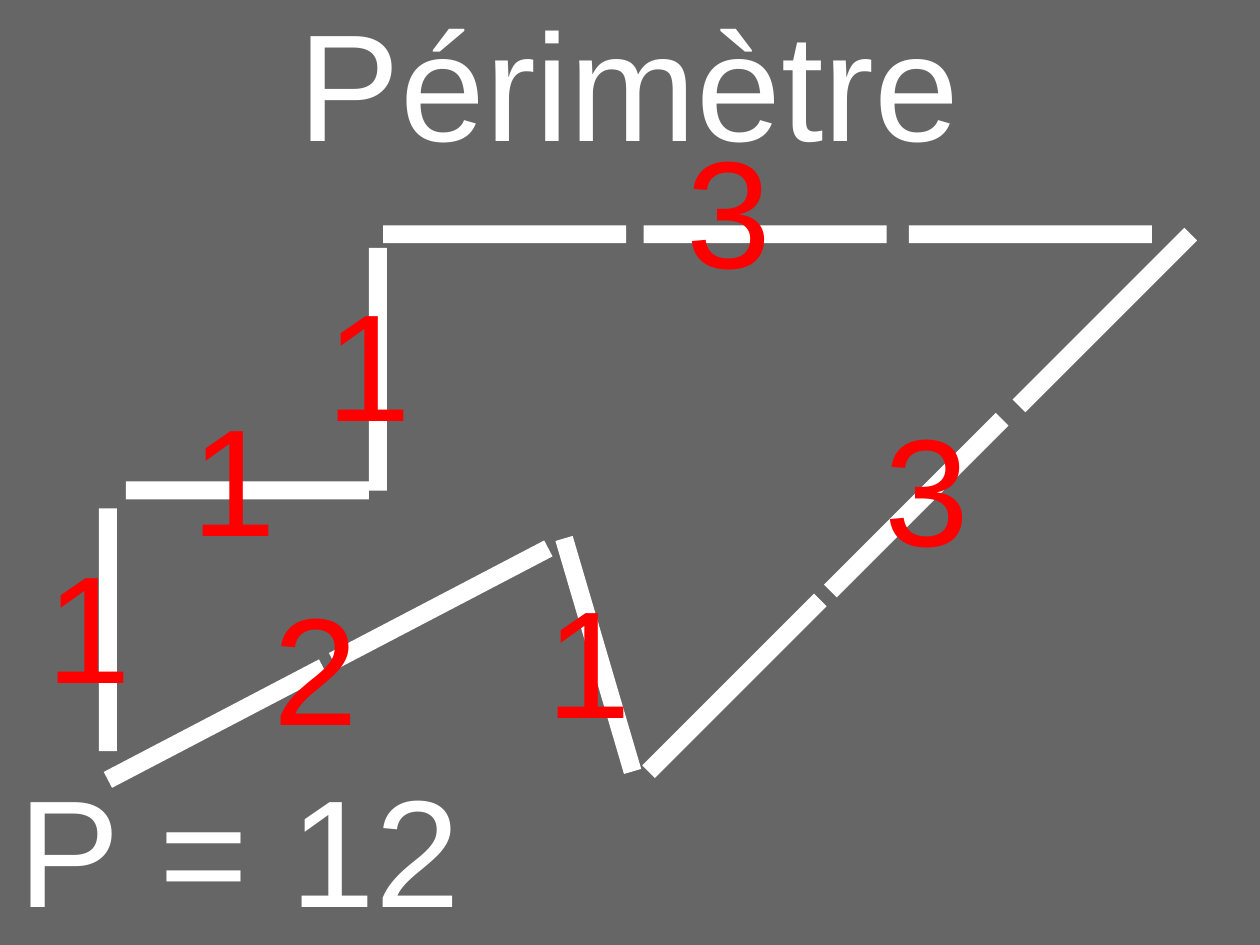
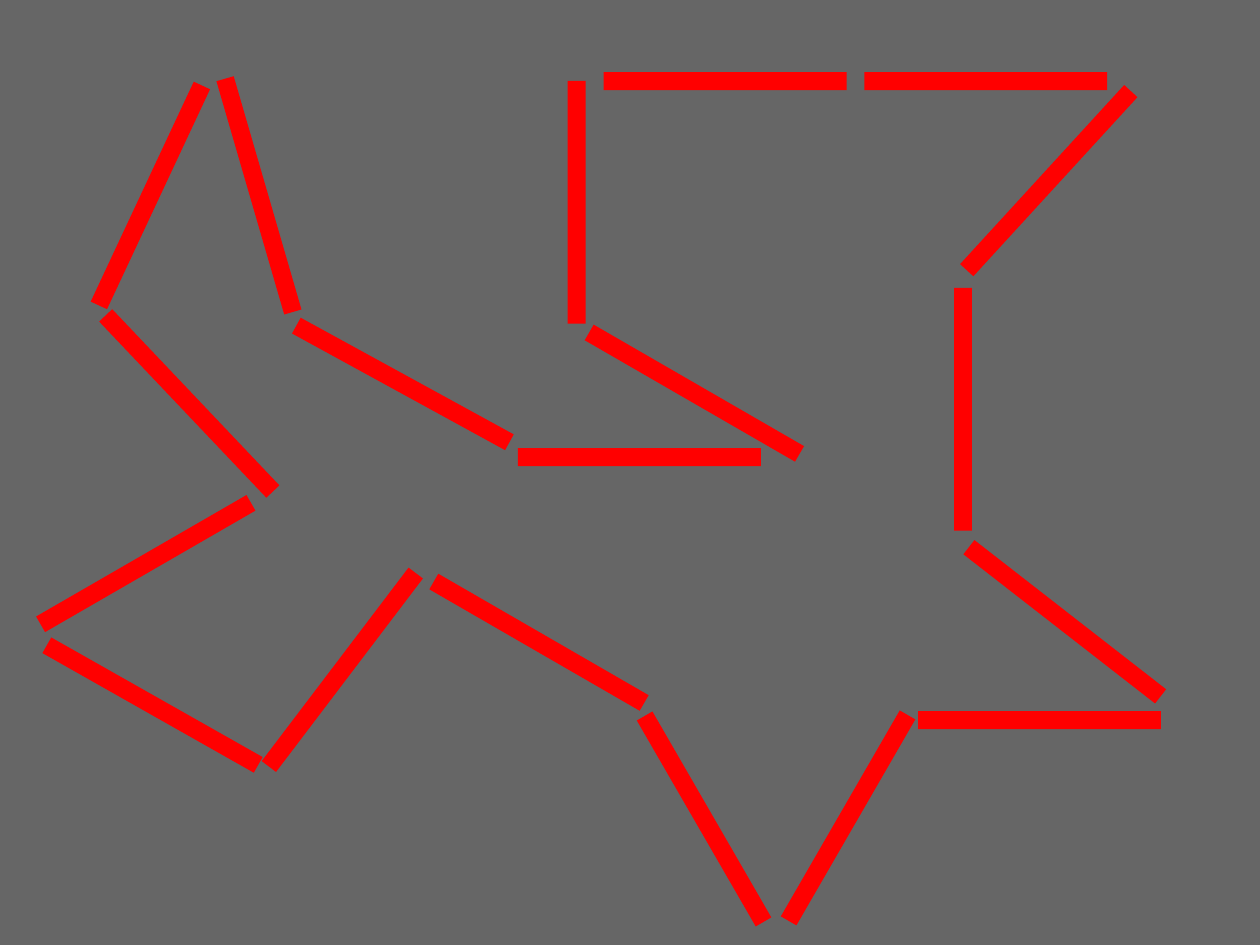
from dataclasses import dataclass

from pptx import Presentation
from pptx.dml.color import RGBColor
from pptx.enum.shapes import MSO_SHAPE
from pptx.enum.text import MSO_ANCHOR, PP_ALIGN
from pptx.util import Pt

RECTANGLE = MSO_SHAPE.RECTANGLE
TOP, MIDDLE = MSO_ANCHOR.TOP, MSO_ANCHOR.MIDDLE
LEFT, CENTER = PP_ALIGN.LEFT, PP_ALIGN.CENTER


@dataclass(frozen=True)
class Theme:
    ground: RGBColor = RGBColor(0x66, 0x66, 0x66)
    light: RGBColor = RGBColor(0xFF, 0xFF, 0xFF)
    accent: RGBColor = RGBColor(0xFF, 0x00, 0x00)
    font: str = "Arial"
    size: float = 96
    stick_length: float = 153
    stick_width: float = 11.34


@dataclass(frozen=True)
class Box:
    left: float
    top: float
    width: float
    height: float


THEME = Theme()
PAGE = Box(0, 0, 793.7, 595.28)
TITLE = Box(169.2, -11.5, 454.3, 124.6)
RESULT = Box(11.5, 470.9, 454.3, 124.6)
LABEL_WIDTH, LABEL_HEIGHT = 67.7, 114.5

# Each stick: centre x, centre y, clockwise angle in degrees.
PERIMETER_STICKS = [
    (68, 396.7, 90),
    (155.9, 308.9, 0),
    (238, 232.6, 90),
    (317.9, 147.6, 0),
    (482, 147.6, 0),
    (649.1, 147.6, 0),
    (695.9, 201.6, 135),
    (577.1, 318.2, 135),
    (462.6, 432, 135),
    (376.9, 412.6, 73.6),
    (277.6, 380.9, 152.4),
    (135.7, 455.8, 152.4),
]

# Each side length: text, left, top.
SIDE_LENGTHS = [
    ("3", 425.5, 73.4),
    ("3", 550.1, 248.4),
    ("2", 164.9, 361.4),
    ("1", 337, 357.1),
    ("1", 22.3, 334.8),
    ("1", 113.8, 242.6),
    ("1", 198.7, 169.9),
]

EXERCISE_STICKS = [
    (94.7, 123.1, 115.1),
    (163.1, 123.1, 73.8),
    (253.8, 241.9, 28.7),
    (402.8, 288, 0),
    (437.4, 247.7, 30),
    (363.2, 127.4, 90),
    (456.8, 51.1, 0),
    (621, 51.1, 0),
    (660.6, 113.8, 132.5),
    (606.6, 257.8, 90),
    (670.7, 391.7, 37.9),
    (654.8, 453.6, 0),
    (339.5, 404.6, 30),
    (215.6, 421.9, 127.2),
    (96.1, 444.2, 29.5),
    (91.8, 355, 150),
    (119.2, 254.2, 46.5),
]

# The two sticks of the lower point are slightly shorter.
SHORT_STICKS = [(443.5, 515.9, 60), (534.2, 515.2, 120)]
SHORT_LENGTH = 149.8


def add_page(deck):
    page = deck.slides.add_slide(deck.slide_layouts[6])
    fill = page.background.fill
    fill.solid()
    fill.fore_color.rgb = THEME.ground
    return page


def add_text(page, box, text, color, align=LEFT, anchor=MIDDLE):
    shape = page.shapes.add_textbox(
        Pt(box.left), Pt(box.top), Pt(box.width), Pt(box.height))
    frame = shape.text_frame
    frame.margin_left = frame.margin_right = Pt(0)
    frame.margin_top = frame.margin_bottom = Pt(0)
    frame.vertical_anchor = anchor
    frame.word_wrap = True
    para = frame.paragraphs[0]
    para.text = text
    para.alignment = align
    para.font.name = THEME.font
    para.font.size = Pt(THEME.size)
    para.font.color.rgb = color


def add_sticks(page, box, sticks, color, length=THEME.stick_length):
    """Lay sticks by centre and angle, measured from the corner of the box."""
    width = THEME.stick_width
    for x, y, angle in sticks:
        stick = page.shapes.add_shape(
            RECTANGLE,
            Pt(box.left + x - length / 2), Pt(box.top + y - width / 2),
            Pt(length), Pt(width))
        stick.rotation = angle
        stick.shadow.inherit = False
        stick.fill.solid()
        stick.fill.fore_color.rgb = color
        stick.line.fill.background()


def add_side_lengths(page, box, labels):
    for text, left, top in labels:
        label = Box(box.left + left, box.top + top, LABEL_WIDTH, LABEL_HEIGHT)
        add_text(page, label, text, THEME.accent, CENTER)


def build_perimeter_page(deck):
    page = add_page(deck)
    add_text(page, TITLE, "Périmètre", THEME.light, CENTER)
    add_sticks(page, PAGE, PERIMETER_STICKS, THEME.light)
    add_side_lengths(page, PAGE, SIDE_LENGTHS)
    add_text(page, RESULT, "P = 12", THEME.light)


def build_exercise_page(deck):
    page = add_page(deck)
    add_sticks(page, PAGE, EXERCISE_STICKS, THEME.accent)
    add_sticks(page, PAGE, SHORT_STICKS, THEME.accent, SHORT_LENGTH)


def main():
    deck = Presentation()
    deck.slide_width, deck.slide_height = Pt(PAGE.width), Pt(PAGE.height)
    build_perimeter_page(deck)
    build_exercise_page(deck)
    deck.save("out.pptx")


if __name__ == "__main__":
    main()
